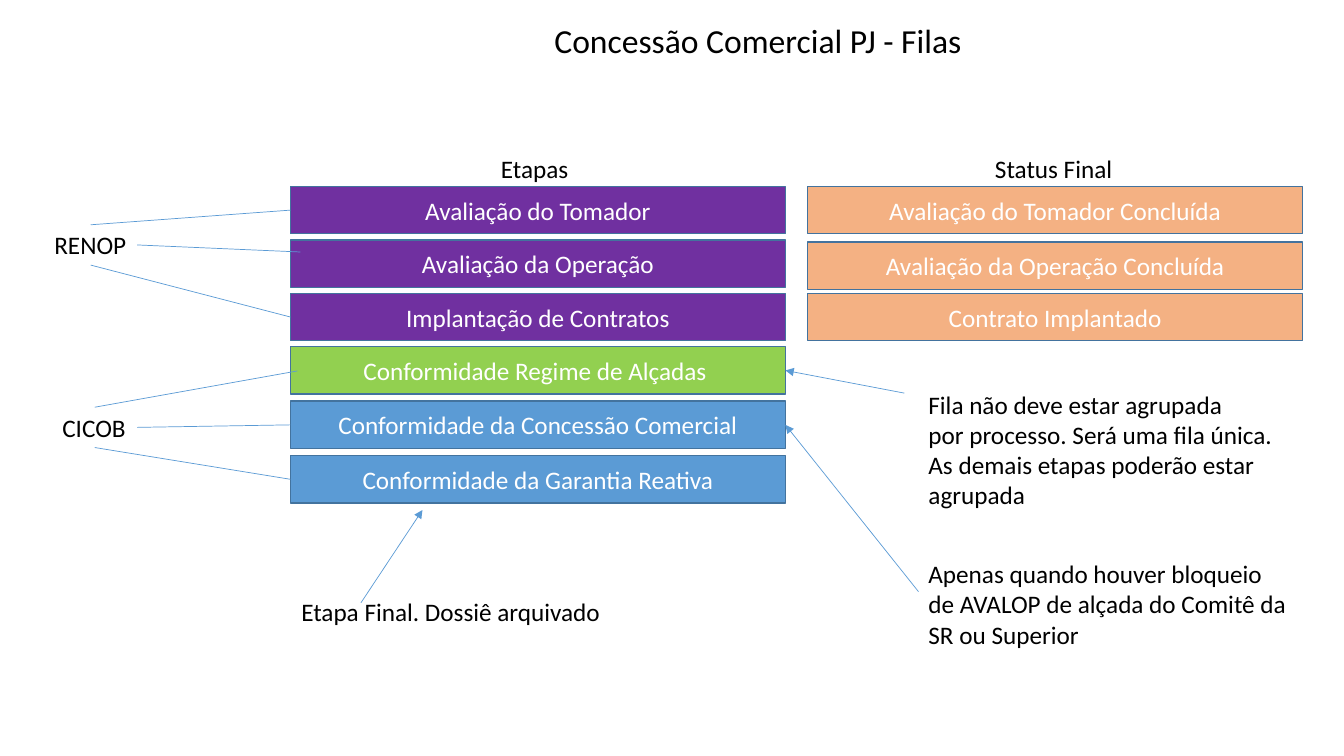
from typing import NamedTuple

from lxml.etree import SubElement
from pptx import Presentation
from pptx.dml.color import RGBColor
from pptx.enum.shapes import MSO_CONNECTOR as Connector, MSO_SHAPE as Shape
from pptx.enum.text import MSO_ANCHOR as Anchor, MSO_AUTO_SIZE as AutoSize, PP_ALIGN as Align
from pptx.oxml.ns import qn
from pptx.util import Inches, Pt

TOP, LEFT, BOTTOM, RIGHT = range(4)
PURPLE, GREEN, BLUE, ORANGE = "7030A0", "92D050", "5B9BD5", "F4B183"


class Joint(NamedTuple):
    shape: object
    side: int


def color(value):
    return RGBColor.from_string(value)


class QueueSlide:
    font_name = "Calibri"
    text_size = 18
    text_color = "000000"
    box_text_color = "FFFFFF"
    border_color = "43739E"
    line_color = BLUE
    box_width = 4.91
    box_height = 0.47

    def __init__(self, presentation):
        self.slide = presentation.slides.add_slide(presentation.slide_layouts[6])

    def style(self, paragraph, text, size, text_color):
        paragraph.text = text
        paragraph.font.name = self.font_name
        paragraph.font.size = Pt(size)
        paragraph.font.color.rgb = color(text_color)

    def box(self, left, top, text, fill):
        shape = self.slide.shapes.add_shape(
            Shape.RECTANGLE, Inches(left), Inches(top),
            Inches(self.box_width), Inches(self.box_height))
        shape.shadow.inherit = False
        shape.fill.solid()
        shape.fill.fore_color.rgb = color(fill)
        shape.line.color.rgb = color(self.border_color)
        shape.line.width = Pt(1)
        shape.text_frame.vertical_anchor = Anchor.MIDDLE
        paragraph = shape.text_frame.paragraphs[0]
        paragraph.alignment = Align.CENTER
        self.style(paragraph, text, self.text_size, self.box_text_color)
        return shape

    def text(self, left, top, width, height, *lines, size=text_size, wrap=False):
        shape = self.slide.shapes.add_textbox(
            Inches(left), Inches(top), Inches(width), Inches(height))
        frame = shape.text_frame
        frame.word_wrap = wrap
        frame.auto_size = AutoSize.SHAPE_TO_FIT_TEXT
        for index, line in enumerate(lines):
            paragraph = frame.add_paragraph() if index else frame.paragraphs[0]
            self.style(paragraph, line, size, self.text_color)
        return shape

    def line(self, start, end, arrow=False):
        points = [(0, 0) if isinstance(point, Joint) else point for point in (start, end)]
        connector = self.slide.shapes.add_connector(
            Connector.STRAIGHT, *(Inches(value) for point in points for value in point))
        if isinstance(start, Joint):
            connector.begin_connect(start.shape, start.side)
        if isinstance(end, Joint):
            connector.end_connect(end.shape, end.side)
        connector.line.color.rgb = color(self.line_color)
        connector.line.width = Pt(0.5)
        properties = connector._element.spPr
        if arrow:
            SubElement(properties.find(qn("a:ln")), qn("a:tailEnd"), type="triangle")
        SubElement(properties, qn("a:effectLst"))


def main():
    presentation = Presentation()
    presentation.slide_width = Inches(13.33)
    presentation.slide_height = Inches(7.5)
    queues = QueueSlide(presentation)

    stages = [
        queues.box(2.88, top, text, fill)
        for top, text, fill in (
            (1.85, "Avaliação do Tomador", PURPLE),
            (2.38, "Avaliação da Operação", PURPLE),
            (2.91, "Implantação de Contratos", PURPLE),
            (3.44, "Conformidade Regime de Alçadas ", GREEN),
            (3.98, "Conformidade da Concessão Comercial", BLUE),
            (4.52, "Conformidade da Garantia Reativa", BLUE),
        )
    ]
    evaluation, _, contracts, authority, concession, guarantee = stages

    renop = queues.text(0.44, 2.23, 0.92, 0.4, "RENOP")
    cicob = queues.text(0.52, 4.04, 0.84, 0.4, "CICOB")
    for team, starts in (
        (renop, (Joint(evaluation, LEFT), (2.98, 2.5), Joint(contracts, LEFT))),
        (cicob, ((2.95, 3.68), Joint(concession, LEFT), Joint(guarantee, LEFT))),
    ):
        for start, side in zip(starts, (TOP, RIGHT, BOTTOM)):
            queues.line(start, Joint(team, side))

    queues.text(5.4, 0.15, 4.27, 0.5, "Concessão Comercial PJ - Filas", size=24)
    queues.text(4.87, 1.47, 0.88, 0.4, "Etapas")
    queues.text(9.77, 1.47, 1.38, 0.4, "Status Final")

    for top, text in (
        (1.85, "Avaliação do Tomador Concluída"),
        (2.4, "Avaliação da Operação Concluída"),
        (2.91, "Contrato Implantado"),
    ):
        queues.box(8.01, top, text, ORANGE)

    queues.line((8.97, 3.9), Joint(authority, RIGHT), arrow=True)
    queues.text(9.11, 3.81, 3.81, 1.36,
                "Fila não deve estar agrupada",
                "por processo. Será uma fila única.",
                "As demais etapas poderão estar agrupada", wrap=True)
    queues.line((9.11, 5.87), Joint(concession, RIGHT), arrow=True)
    queues.text(9.11, 5.49, 3.81, 1.01,
                "Apenas quando houver bloqueio de AVALOP de alçada do Comitê da SR ou Superior",
                wrap=True)
    queues.line((3.58, 5.98), (4.19, 5.06), arrow=True)
    queues.text(2.89, 5.87, 3.37, 0.4, "Etapa Final. Dossiê arquivado", wrap=True)

    presentation.save("out.pptx")


if __name__ == "__main__":
    main()
